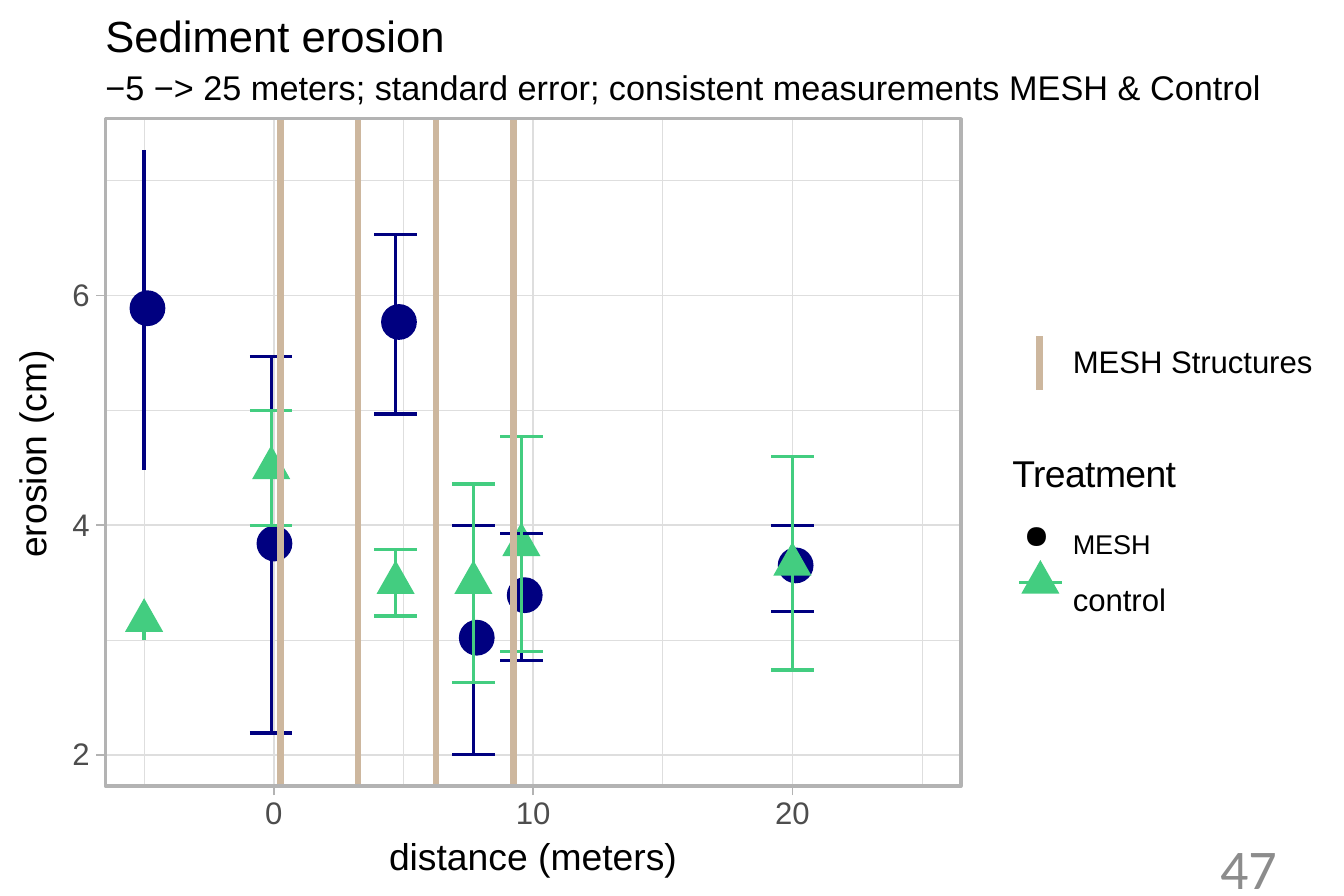
from pptx import Presentation
from pptx.dml.color import RGBColor
from pptx.enum.shapes import MSO_CONNECTOR, MSO_SHAPE
from pptx.enum.text import PP_ALIGN
from pptx.oxml import parse_xml
from pptx.oxml.ns import nsdecls
from pptx.util import Inches, Pt

STRAIGHT = MSO_CONNECTOR.STRAIGHT
OVAL, TRIANGLE, RECTANGLE = MSO_SHAPE.OVAL, MSO_SHAPE.ISOSCELES_TRIANGLE, MSO_SHAPE.RECTANGLE
LEFT, CENTER, RIGHT = PP_ALIGN.LEFT, PP_ALIGN.CENTER, PP_ALIGN.RIGHT

COLORS = {"black": "000000", "tick": "4D4D4D", "grid": "DEDEDE", "frame": "B3B3B3",
          "mesh": "000080", "control": "43CD80", "structure": "CDB79E", "page": "8C8C8C"}

# Plot area in inches, and the scales that map data to it
PLOT_LEFT, PLOT_TOP, PLOT_RIGHT, PLOT_BOTTOM = 0.47, 0.53, 4.29, 3.51
X_MIN, X_MAX = -6.5, 26.5
Y_TOP_TICK, INCHES_PER_CM = 1.32, 0.5125
WHISKER, STRUCTURE_WIDTH = 1.07, 2.13

# distance (m), mean, lower and upper end (cm)
MESH = [(-5, 5.89, 4.48, 7.27), (-0.1, 3.84, 2.19, 5.47), (4.7, 5.77, 4.97, 6.53),
        (7.7, 3.02, 2, 4), (9.55, 3.39, 2.82, 3.93), (20, 3.65, 3.25, 4)]
CONTROL = [(-5, 3.17, 3, 3.33), (-0.1, 4.5, 4, 5), (4.7, 3.5, 3.21, 3.79),
           (7.7, 3.5, 2.63, 4.36), (9.55, 3.83, 2.9, 4.77), (20, 3.66, 2.74, 4.6)]
STRUCTURES = [0.25, 3.25, 6.25, 9.25]


def x_at(distance):
    return PLOT_LEFT + (distance - X_MIN) * (PLOT_RIGHT - PLOT_LEFT) / (X_MAX - X_MIN)


def y_at(erosion):
    return Y_TOP_TICK + (6 - erosion) * INCHES_PER_CM


class ErosionSlide:
    def __init__(self, presentation, font="Arial"):
        self.slide = presentation.slides.add_slide(presentation.slide_layouts[6])
        self.shapes = self.slide.shapes
        self.font = font

    def line(self, x1, y1, x2, y2, color, width):
        connector = self.shapes.add_connector(
            STRAIGHT, Inches(x1), Inches(y1), Inches(x2), Inches(y2))
        connector.line.color.rgb = RGBColor.from_string(COLORS[color])
        connector.line.width = Pt(width)
        connector._element.spPr.append(parse_xml(f"<a:effectLst {nsdecls('a')}/>"))

    def marker(self, kind, left, top, width, height, color):
        shape = self.shapes.add_shape(
            kind, Inches(left), Inches(top), Inches(width), Inches(height))
        shape.shadow.inherit = False
        shape.fill.solid()
        shape.fill.fore_color.rgb = RGBColor.from_string(COLORS[color])
        shape.line.fill.background()

    def circle(self, x, y):
        self.marker(OVAL, x - 0.065, y - 0.08, 0.16, 0.16, "mesh")

    def triangle(self, x, y):
        self.marker(TRIANGLE, x - 0.085, y - 0.1, 0.17, 0.15, "control")

    def whisker(self, distance, low, high, color):
        x = x_at(distance)
        self.line(x, y_at(high), x, y_at(low), color, WHISKER)
        if distance != -5:
            for end in (high, low):
                self.cap(x, y_at(end), color)

    def cap(self, x, y, color):
        self.line(x - 0.095, y, x + 0.095, y, color, WHISKER)

    def frame(self):
        shape = self.shapes.add_shape(
            RECTANGLE, Inches(PLOT_LEFT), Inches(PLOT_TOP),
            Inches(PLOT_RIGHT - PLOT_LEFT), Inches(PLOT_BOTTOM - PLOT_TOP))
        shape.shadow.inherit = False
        shape.fill.background()
        shape.line.color.rgb = RGBColor.from_string(COLORS["frame"])
        shape.line.width = Pt(WHISKER)

    def text(self, left, top, width, height, lines, color="black", align=LEFT,
             inset=0, font=None):
        """Each line is (wording, size, space before)."""
        frame = self.shapes.add_textbox(
            Inches(left), Inches(top), Inches(width), Inches(height)).text_frame
        frame.word_wrap = True
        frame.margin_left = frame.margin_right = frame.margin_bottom = 0
        frame.margin_top = Inches(inset)
        frame.text = "\n".join(wording for wording, _, _ in lines)
        for paragraph, (_, size, before) in zip(frame.paragraphs, lines):
            paragraph.alignment = align
            paragraph.space_before = Pt(before)
            run_font = paragraph.runs[0].font
            run_font.name = font or self.font
            run_font.size = Pt(size)
            run_font.color.rgb = RGBColor.from_string(COLORS[color])
        return frame


def draw_grid(page):
    # Thin between the ticks and thicker at them
    for width, erosions, distances in ((0.27, (3, 5, 7), (-5, 5, 15, 25)),
                                       (0.53, (2, 4, 6), (0, 10, 20))):
        for erosion in erosions:
            page.line(PLOT_LEFT, y_at(erosion), PLOT_RIGHT, y_at(erosion), "grid", width)
        for distance in distances:
            page.line(x_at(distance), PLOT_BOTTOM, x_at(distance), PLOT_TOP, "grid", width)


def draw_ticks(page):
    for erosion in (2, 4, 6):
        y = y_at(erosion)
        page.line(PLOT_LEFT - 0.04, y, PLOT_LEFT, y, "frame", 0.53)
        page.text(0.2, y - 0.09, 0.2, 0.18, [(str(erosion), 10, 0)], "tick", RIGHT)
    for distance in (0, 10, 20):
        x = x_at(distance)
        page.line(x, PLOT_BOTTOM + 0.04, x, PLOT_BOTTOM, "frame", 0.53)
        page.text(x - 0.15, 3.54, 0.3, 0.18, [(str(distance), 10, 0)], "tick", CENTER)


def draw_legend(page):
    page.line(4.64, 1.74, 4.64, 1.5, "structure", STRUCTURE_WIDTH)
    page.text(4.79, 1.52, 1.07, 0.19, [("MESH Structures", 10, 1)], inset=0.01)
    page.triangle(4.645, 2.6)
    page.cap(4.645, 2.6, "control")
    treatment = page.text(4.52, 1.97, 0.77, 0.72, [
        ("Treatment", 12, 3), ("MESH", 15, 5), ("control", 10, 4.3)], inset=0.04)
    heading, mesh, control = treatment.paragraphs
    heading.runs[0].font._element.set("spc", "-20")
    mesh.runs[0].font._element.set("baseline", "6000")
    for entry, indent in ((mesh, -0.22), (control, 0)):
        properties = entry._p.get_or_add_pPr()
        properties.set("marL", str(Inches(0.27)))
        properties.set("indent", str(Inches(indent)))
    for bullet in ('buSzPct {} val="70000"', 'buChar {} char="●"'):
        mesh._p.pPr.append(parse_xml(f"<a:{bullet.format(nsdecls('a'))}/>"))


def main():
    presentation = Presentation()
    presentation.slide_width, presentation.slide_height = Inches(6), Inches(4)
    page = ErosionSlide(presentation)

    # Data on the grid
    draw_grid(page)
    for distance, mean, _, _ in MESH:
        page.circle(x_at(distance), y_at(mean))
    for distance, mean, _, _ in CONTROL:
        page.triangle(x_at(distance), y_at(mean))
    for treatment, color in ((MESH, "mesh"), (CONTROL, "control")):
        for distance, _, low, high in treatment:
            page.whisker(distance, low, high, color)
    for distance in STRUCTURES:
        page.line(x_at(distance), PLOT_BOTTOM, x_at(distance), PLOT_TOP,
                  "structure", STRUCTURE_WIDTH)
    page.frame()
    draw_ticks(page)

    # Axis titles
    page.text(1.72, 3.72, 1.32, 0.2, [("distance (meters)", 12, 0)], align=CENTER)
    erosion_title = page.text(0.04, 1.54, 0.21, 0.95, [("erosion (cm)", 12, 0)])
    erosion_title._txBody.bodyPr.set("vert", "vert270")

    # Legend, title and page number
    draw_legend(page)
    page.text(0.47, 0, 5.19, 0.49, [
        ("Sediment erosion", 14, 2.9),
        ("−5 −> 25 meters; standard error; consistent measurements MESH & Control", 11, 1.5),
    ], inset=0.04)
    page.text(4.32, 3.72, 1.38, 0.2, [("47", 18, 0)], "page", RIGHT, font="Calibri")

    presentation.save("out.pptx")


if __name__ == "__main__":
    main()
